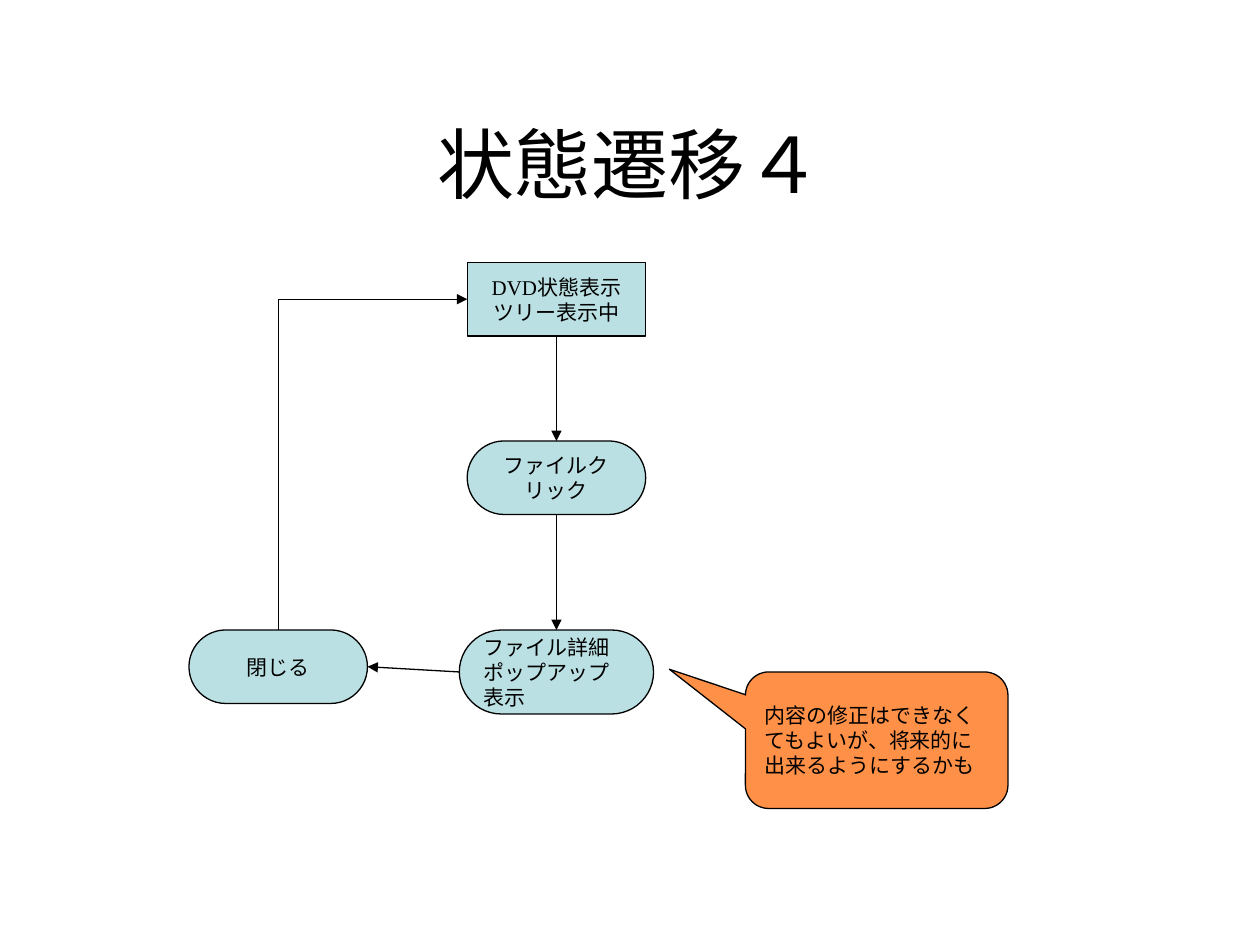
from dataclasses import dataclass

from lxml import etree
from pptx import Presentation
from pptx.dml.color import RGBColor
from pptx.enum.shapes import MSO_CONNECTOR, MSO_SHAPE
from pptx.enum.text import MSO_ANCHOR, PP_ALIGN
from pptx.oxml.ns import qn
from pptx.util import Inches, Pt

RECT = MSO_SHAPE.RECTANGLE
ROUND = MSO_SHAPE.ROUNDED_RECTANGLE
CALL = MSO_SHAPE.ROUNDED_RECTANGULAR_CALLOUT
LINE = MSO_CONNECTOR.STRAIGHT
MID = MSO_ANCHOR.MIDDLE
LEFT, CENTER = PP_ALIGN.LEFT, PP_ALIGN.CENTER

FONT = "Times New Roman"
HUES = {"ink": "000000", "state": "BBE0E3", "note": "FF6600"}
WIDE, HIGH = Inches(10), Inches(7.5)
COLS, ROWS = 120, 90


@dataclass(frozen=True)
class Node:
    col: float
    row: float
    cols: float
    rows: float
    lines: tuple[str, ...]
    kind: int = ROUND
    adj: tuple[float, ...] = (0.5,)
    hue: str = "state"
    align: int = CENTER
    wrap: bool = True

    @property
    def mid(self) -> tuple[float, float]:
        return self.col + self.cols / 2, self.row + self.rows / 2

    @property
    def top(self) -> tuple[float, float]:
        return self.mid[0], self.row

    @property
    def base(self) -> tuple[float, float]:
        return self.mid[0], self.row + self.rows

    @property
    def left(self) -> tuple[float, float]:
        return self.col, self.mid[1]

    @property
    def right(self) -> tuple[float, float]:
        return self.col + self.cols, self.mid[1]


def spot(col: float, row: float) -> tuple[int, int]:
    return round(WIDE * col / COLS), round(HIGH * row / ROWS)


def tint(hue: str) -> RGBColor:
    return RGBColor.from_string(HUES[hue])


def write(frame, lines: tuple[str, ...], size: float, align: int) -> None:
    frame.vertical_anchor = MID
    for i, line in enumerate(lines):
        para = frame.add_paragraph() if i else frame.paragraphs[0]
        para.alignment = align
        run = para.add_run()
        run.text = line
        run.font.size = Pt(size)
        run.font.name = FONT
        run.font.color.rgb = tint("ink")


def draw(slide, node: Node):
    shape = slide.shapes.add_shape(
        node.kind, *spot(node.col, node.row), *spot(node.cols, node.rows))
    shape.shadow.inherit = False
    for i, value in enumerate(node.adj):
        shape.adjustments[i] = value
    shape.fill.solid()
    shape.fill.fore_color.rgb = tint(node.hue)
    shape.line.color.rgb = tint("ink")
    shape.line.width = Pt(0.75)
    shape.text_frame.word_wrap = node.wrap
    write(shape.text_frame, node.lines, 12, node.align)
    return shape


def link(slide, start: tuple[float, float], end: tuple[float, float]):
    wire = slide.shapes.add_connector(LINE, *spot(*start), *spot(*end))
    wire.line.color.rgb = tint("ink")
    wire.line.width = Pt(0.75)
    tail = etree.SubElement(wire.line._get_or_add_ln(), qn("a:tailEnd"))
    tail.set("type", "triangle")
    etree.SubElement(wire._element.spPr, qn("a:effectLst"))
    return wire


def bend(slide, start: tuple[float, float], end: tuple[float, float]) -> None:
    x, y = (start[0] + end[0]) / 2, (start[1] + end[1]) / 2
    dx, dy = (start[1] - end[1]) / 2, (end[0] - start[0]) / 2
    wire = link(slide, (x + dx, y + dy), (x - dx, y - dy))
    props = wire._element.spPr
    props.find(qn("a:xfrm")).set("rot", str(90 * 60000))
    props.find(qn("a:prstGeom")).set("prst", "bentConnector2")


def fade(shape, share: int) -> None:
    color = shape._element.spPr.find(qn("a:solidFill"))[0]
    etree.SubElement(color, qn("a:alpha")).set("val", str(share * 1000))


def main() -> None:
    deck = Presentation()
    deck.slide_width, deck.slide_height = WIDE, HIGH
    slide = deck.slides.add_slide(deck.slide_layouts[5])

    title = slide.shapes.title
    title.left, title.top = spot(9, 8)
    title.width, title.height = spot(102, 15)
    write(title.text_frame, ("状態遷移４",), 44, CENTER)

    tree = Node(44.5, 25, 17, 7, ("DVD状態表示", "ツリー表示中"),
                RECT, (), wrap=False)
    click = Node(44.5, 42, 17, 7, ("ファイルクリック",))
    popup = Node(43.75, 60, 18.5, 8, ("ファイル詳細ポップアップ表示",),
                 align=LEFT)
    close = Node(18, 60, 17, 7, ("閉じる",))
    note = Node(71, 64, 25, 13,
                ("内容の修正はできなくてもよいが、将来的に出来るようにするかも",),
                CALL, (-0.79, -0.52, 0.17), "note", LEFT)

    for node in (tree, click, popup, close):
        draw(slide, node)
    for start, end in ((tree.base, click.top), (click.base, popup.top),
                       (popup.left, close.right)):
        link(slide, start, end)
    bend(slide, close.top, tree.left)
    fade(draw(slide, note), 72)

    deck.save("out.pptx")


if __name__ == "__main__":
    main()
